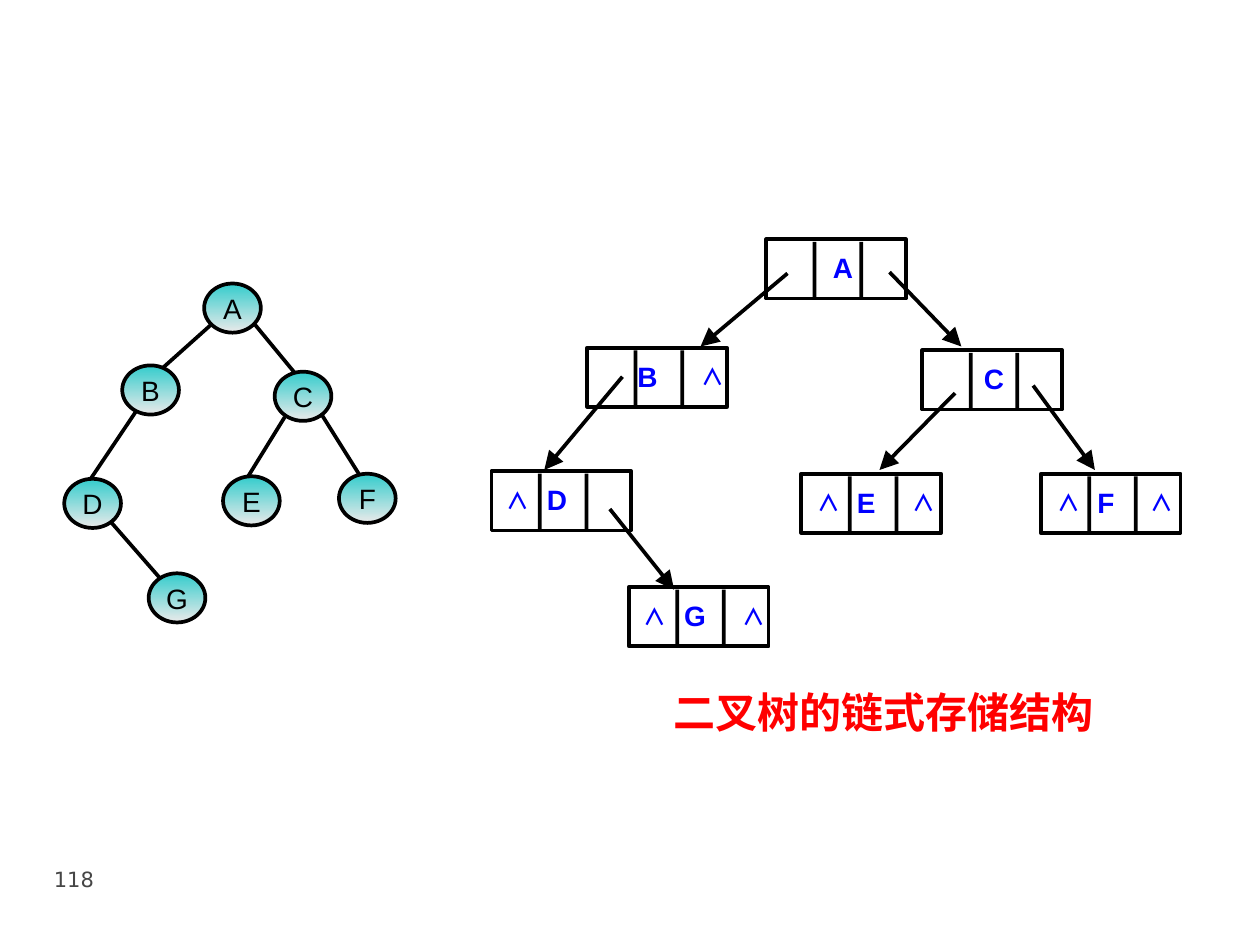
from lxml import etree
from pptx import Presentation
from pptx.dml.color import RGBColor
from pptx.enum.shapes import MSO_CONNECTOR, MSO_SHAPE
from pptx.enum.text import MSO_ANCHOR, PP_ALIGN
from pptx.oxml.ns import qn
from pptx.util import Inches, Pt

OVAL, RECT = MSO_SHAPE.OVAL, MSO_SHAPE.RECTANGLE
LINE = MSO_CONNECTOR.STRAIGHT
LEFT, MID = PP_ALIGN.LEFT, PP_ALIGN.CENTER
TOP, CORE = MSO_ANCHOR.TOP, MSO_ANCHOR.MIDDLE
BLACK, WHITE, BLUE, RED, GREY = "000000", "FFFFFF", "0000FF", "FF0000", "464646"
TEAL, PALE = "33CCCC", "EAEAEA"
SANS, HAN, PLAIN = "Arial", "Noto Sans CJK SC", "DejaVu Sans"
NIL = "∧"

NODES = [("A", 1.62, 2.25), ("B", 0.97, 2.9), ("C", 2.18, 2.95), ("D", 0.51, 3.8),
         ("E", 1.77, 3.78), ("F", 2.69, 3.76), ("G", 1.18, 4.55)]
EDGES = [(1.84, 2.43, 1.18, 3.02), (2.01, 2.56, 2.34, 2.96), (1.11, 3.22, 0.72, 3.8),
         (2.26, 3.31, 1.97, 3.78), (2.54, 3.27, 2.86, 3.78), (0.86, 4.12, 1.28, 4.6)]
CELLS = [("A", 6.08, 1.9, 0.53, []), ("B", 4.66, 2.76, 0.4, [0.91]),
         ("C", 7.32, 2.78, 0.49, []), ("D", 3.9, 3.74, 0.44, [0.12]),
         ("E", 6.36, 3.76, 0.44, [0.13, 0.88]), ("F", 8.26, 3.76, 0.45, [0.13, 0.87]),
         ("G", 4.99, 4.66, 0.44, [0.12, 0.9])]
LINKS = [(6.25, 2.17, 5.56, 2.75), (7.06, 2.16, 7.63, 2.75), (4.94, 2.99, 4.32, 3.73),
         (7.58, 3.12, 6.98, 3.73), (8.2, 3.06, 8.69, 3.73), (4.84, 4.04, 5.35, 4.68)]


def color(code):
    """Turn a hex string into a colour."""
    return RGBColor.from_string(code)


class Board:
    """Hold the style and the current slide."""

    width = Pt(2.13)

    def __init__(self, slide):
        """Keep the slide to draw on."""
        self.slide = slide

    def letter(self, shape, text, size, font, tint, bold=False, align=LEFT,
               anchor=TOP, pad=(0, 0), wrap=False):
        """Set the text of a shape and format it."""
        frame = shape.text_frame
        frame.text = text
        frame.word_wrap = wrap
        frame.vertical_anchor = anchor
        frame.margin_left = frame.margin_right = Inches(pad[0])
        frame.margin_top = frame.margin_bottom = Inches(pad[1])
        line = frame.paragraphs[0]
        line.alignment = align
        run = line.runs[0]
        run.font.size, run.font.bold, run.font.name = Pt(size), bold, font
        run.font.color.rgb = color(tint)
        etree.SubElement(run.font._element, qn("a:ea"), typeface=font)

    def label(self, box, text, *style, **more):
        """Add a text box."""
        shape = self.slide.shapes.add_textbox(*map(Inches, box))
        self.letter(shape, text, *style, **more)

    def shape(self, kind, box):
        """Add an outlined shape without a shadow."""
        shape = self.slide.shapes.add_shape(kind, *map(Inches, box))
        shape.shadow.inherit = False
        shape.line.color.rgb = color(BLACK)
        shape.line.width = self.width
        return shape

    def block(self, box, tint, edge=True):
        """Add a plain filled rectangle."""
        shape = self.shape(RECT, box)
        shape.fill.solid()
        shape.fill.fore_color.rgb = color(tint)
        if not edge:
            shape.line.fill.background()

    def node(self, name, x, y):
        """Add a round tree node."""
        oval = self.shape(OVAL, (x, y, 0.45, 0.39))
        oval.fill.gradient()
        oval.fill.gradient_angle = 270
        for stop, tint, spot in zip(oval.fill.gradient_stops, (TEAL, PALE), (0, 1)):
            stop.color.rgb = color(tint)
            stop.position = spot
        self.letter(oval, name, 16, SANS, BLACK, align=MID, anchor=CORE)

    def cell(self, name, x, y, shift, nils):
        """Add a linked record with its two dividers."""
        self.block((x, y, 1.11, 0.47), WHITE)
        for step in (0.37, 0.74):
            self.block((x + step, y + 0.02, 0.03, 0.45), BLACK, edge=False)
        self.label((x + shift, y + 0.09, 0.17, 0.27), name, 16, SANS, BLUE, bold=True)
        for step in nils:
            self.label((x + step, y + 0.12, 0.15, 0.22), NIL, 13, HAN, BLUE, bold=True)

    def link(self, ends, head=False):
        """Add a straight line, with an arrowhead if asked."""
        link = self.slide.shapes.add_connector(LINE, *map(Inches, ends))
        link.line.color.rgb = color(BLACK)
        link.line.width = self.width
        props = link._element.spPr
        if head:
            etree.SubElement(props.find(qn("a:ln")), qn("a:tailEnd"),
                             type="triangle", w="lg", len="lg")
        etree.SubElement(props, qn("a:effectLst"))


def main():
    """Build the slide and save it."""
    deck = Presentation()
    deck.slide_width, deck.slide_height = Inches(10), Inches(7.5)
    board = Board(deck.slides.add_slide(deck.slide_layouts[6]))
    board.label((0.33, 6.83, 2.5, 0.52), "118", 12, PLAIN, GREY,
                pad=(0.1, 0.05), wrap=True)
    for ends in EDGES:
        board.link(ends)
    for node in NODES:
        board.node(*node)
    board.label((4.89, 5.4, 4.25, 0.5), "二叉树的链式存储结构", 24, HAN, RED,
                bold=True, align=MID, pad=(0.1, 0.05), wrap=True)
    for cell in CELLS:
        board.cell(*cell)
    for ends in LINKS:
        board.link(ends, head=True)
    deck.save("out.pptx")


if __name__ == "__main__":
    main()
